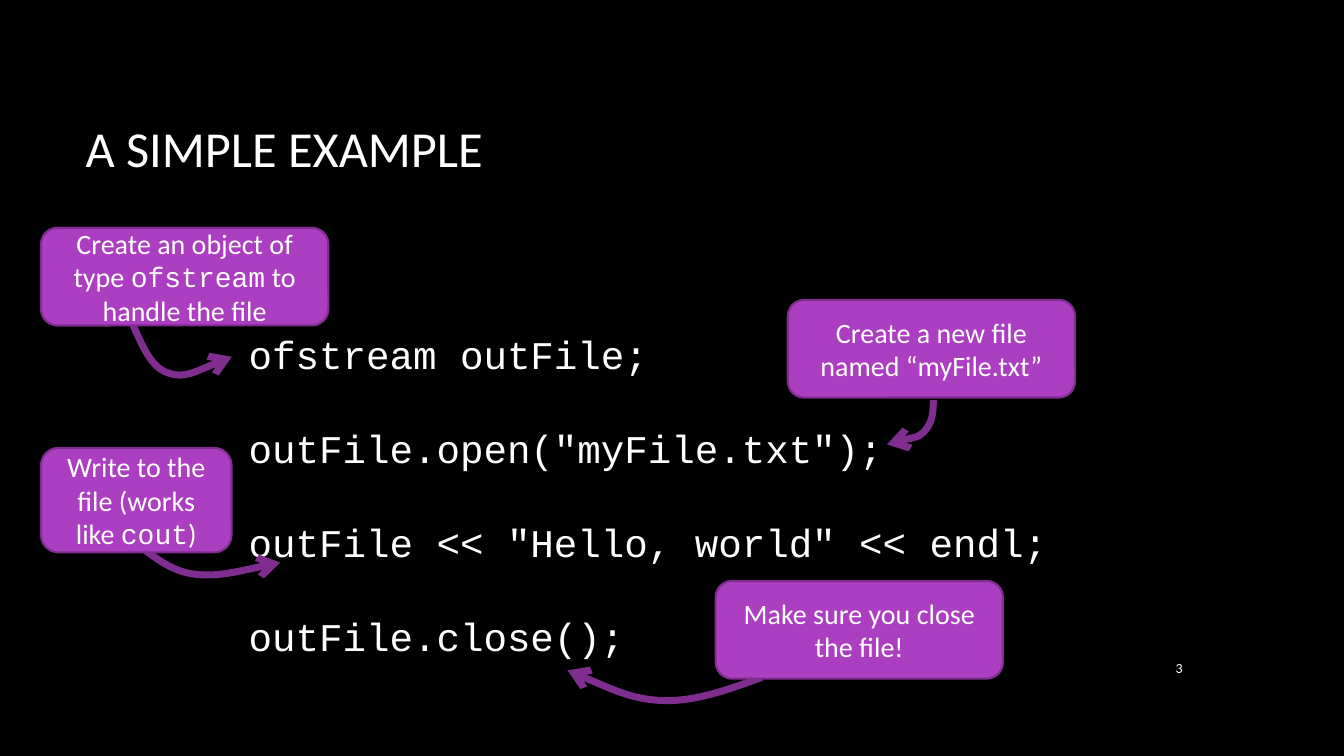
from dataclasses import dataclass

from lxml import etree
from pptx import Presentation
from pptx.dml.color import RGBColor
from pptx.enum.shapes import MSO_SHAPE
from pptx.enum.text import MSO_ANCHOR, PP_ALIGN
from pptx.oxml.ns import qn
from pptx.util import Pt

ROUNDED = MSO_SHAPE.ROUNDED_RECTANGLE
TOP, MIDDLE = MSO_ANCHOR.TOP, MSO_ANCHOR.MIDDLE
LEFT, CENTER, RIGHT = PP_ALIGN.LEFT, PP_ALIGN.CENTER, PP_ALIGN.RIGHT


@dataclass(frozen=True)
class Theme:
    background: RGBColor = RGBColor(0x00, 0x00, 0x00)
    text: RGBColor = RGBColor(0xFF, 0xFF, 0xFF)
    callout: RGBColor = RGBColor(0xAC, 0x3E, 0xC1)
    outline: RGBColor = RGBColor(0x7F, 0x2E, 0x8F)
    body_font: str = "Calibri"
    code_font: str = "Courier New"
    title_size: float = 36
    code_size: float = 28
    callout_size: float = 20
    number_size: float = 10
    outline_width: float = 1.5
    arrow_width: float = 5


THEME = Theme()

CODE_LINES = [
    "ofstream outFile;",
    'outFile.open("myFile.txt");',
    'outFile << "Hello, world" << endl;',
    "outFile.close();",
]

CALLOUTS = [
    ((29.3, 162.7, 205.2, 69.8),
     [("Create an object of type ", False), ("ofstream", True), (" to handle the file", False)]),
    ((562.7, 214.2, 205.2, 69.8), [("Create a new file named “myFile.txt”", False)]),
    ((29.3, 319.9, 136.1, 74.7),
     [("Write to the file (works like ", False), ("cout", True), (")", False)]),
    ((511.2, 415, 205.2, 69.8), [("Make sure you close the file!", False)]),
]

ARROWS = [
    [(103.7, 393.1), (114.5, 401), (125.3, 409), (141.1, 410.4),
     (157.7, 411.8), (200.2, 401.8), (200.2, 401.8)],
    [(94.3, 230.4), (101.5, 247), (108, 262.8), (120.2, 266.4),
     (131.8, 270.7), (165.6, 254.9), (165.6, 254.9)],
    [(666.7, 285.8), (666.7, 294.5), (666, 302.4), (660.2, 308.2),
     (655.2, 313.2), (633.6, 317.5), (633.6, 317.5)],
    [(544.3, 483.8), (520.6, 492.5), (496.8, 501.1), (473.8, 500.4),
     (450.7, 499.7), (405.4, 478.8), (405.4, 478.8)],
]


def write_text(box, paragraphs, size, align=LEFT, anchor=MIDDLE, gap=0):
    frame = box.text_frame
    frame.word_wrap = True
    frame.vertical_anchor = anchor
    for index, spans in enumerate(paragraphs):
        para = frame.add_paragraph() if index else frame.paragraphs[0]
        para.alignment = align
        para.space_before = Pt(gap if index else 0)
        for text, is_code in spans:
            span = para.add_run()
            span.text = text
            span.font.size = Pt(size)
            span.font.name = THEME.code_font if is_code else THEME.body_font
            span.font.color.rgb = THEME.text


def add_text(page, bounds, paragraphs, size, **text_format):
    box = page.shapes.add_textbox(*map(Pt, bounds))
    write_text(box, paragraphs, size, **text_format)


def add_callout(page, bounds, spans):
    box = page.shapes.add_shape(ROUNDED, *map(Pt, bounds))
    box.shadow.inherit = False
    box.fill.solid()
    box.fill.fore_color.rgb = THEME.callout
    box.line.color.rgb = THEME.outline
    box.line.width = Pt(THEME.outline_width)
    write_text(box, [spans], THEME.callout_size, align=CENTER)


def bend_segments(shape):
    segments = list(shape.element.iter(qn("a:lnTo")))
    for start in range(0, len(segments), 3):
        first, second, third = segments[start:start + 3]
        first.tag = qn("a:cubicBezTo")
        for segment in (second, third):
            first.append(segment[0])
            segment.getparent().remove(segment)


def add_curved_arrow(page, controls):
    points = [(Pt(x), Pt(y)) for x, y in controls]
    builder = page.shapes.build_freeform(*points[0])
    builder.add_line_segments(points[1:], close=False)
    arrow = builder.convert_to_shape()
    bend_segments(arrow)
    arrow.shadow.inherit = False
    arrow.fill.background()
    arrow.line.color.rgb = THEME.outline
    arrow.line.width = Pt(THEME.arrow_width)
    outline = arrow.line.fill._xPr
    etree.SubElement(outline, qn("a:round"))
    etree.SubElement(outline, qn("a:tailEnd"), type="arrow")


def main():
    deck = Presentation()
    deck.slide_width, deck.slide_height = Pt(960), Pt(540)
    page = deck.slides.add_slide(deck.slide_layouts[6])
    page.background.fill.solid()
    page.background.fill.fore_color.rgb = THEME.background

    add_text(page, (54, 48.2, 797.8, 114.5), [[("A SIMPLE EXAMPLE", False)]], THEME.title_size)
    add_text(page, (808.6, 462.2, 43.2, 29.5), [[("3", False)]], THEME.number_size, align=RIGHT)
    add_text(page, (170.6, 232.6, 681.1, 244.8), [[(line, True)] for line in CODE_LINES],
             THEME.code_size, anchor=TOP, gap=33.5)

    for controls in ARROWS:
        add_curved_arrow(page, controls)
    for bounds, spans in CALLOUTS:
        add_callout(page, bounds, spans)
    deck.save("out.pptx")


if __name__ == "__main__":
    main()
